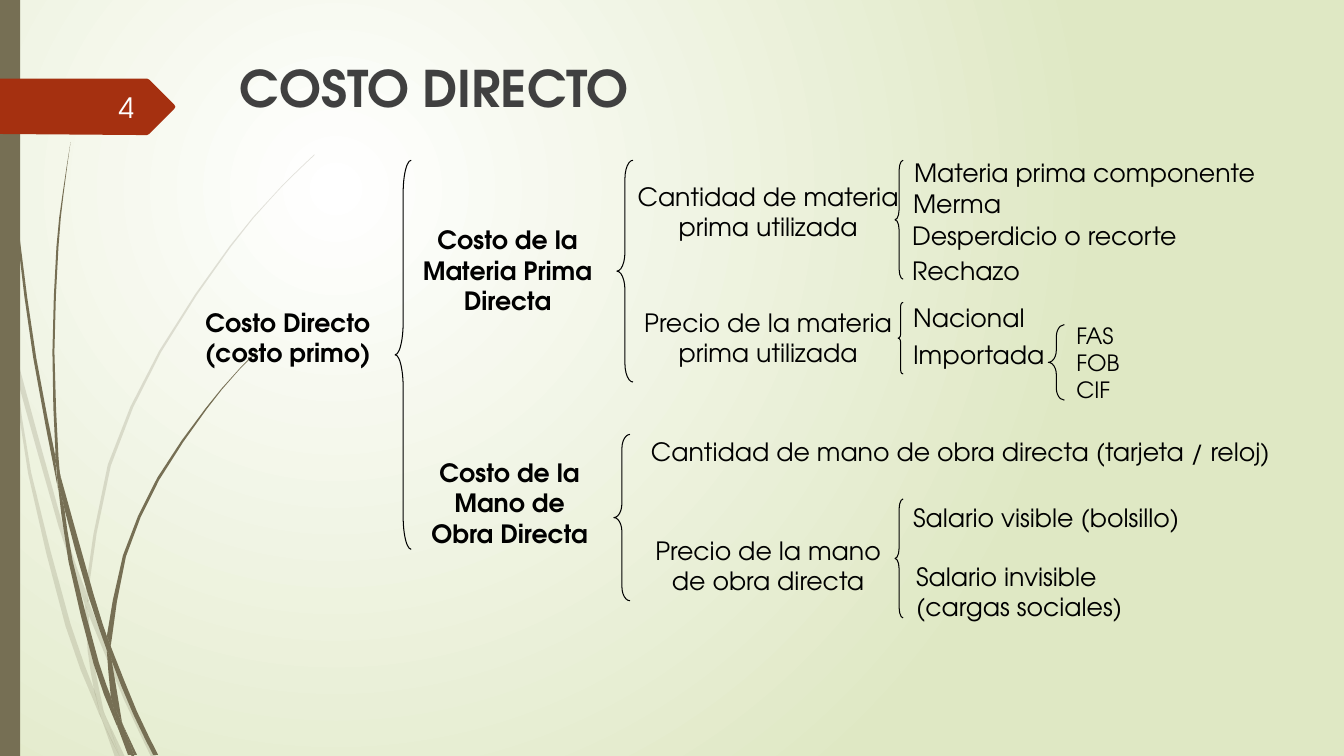
from lxml import etree
from pptx import Presentation
from pptx.dml.color import RGBColor
from pptx.enum.shapes import MSO_SHAPE
from pptx.enum.text import MSO_ANCHOR, MSO_AUTO_SIZE, PP_ALIGN
from pptx.oxml import parse_xml
from pptx.oxml.ns import qn
from pptx.util import Inches, Pt

FONT = "TeX Gyre Adventor"
OLIVE = RGBColor(0x76, 0x6F, 0x54)
RUST = RGBColor(0xA5, 0x30, 0x10)
GRAY = RGBColor(0x40, 0x40, 0x40)
BLACK = RGBColor(0, 0, 0)
WHITE = RGBColor(0xFE, 0xFF, 0xFF)

prs = Presentation()
prs.slide_width, prs.slide_height = Inches(40 / 3), Inches(7.5)
s = prs.slides.add_slide(prs.slide_layouts[6])


def add_text(text, x, y, w, h, size=18, color=BLACK, bold=False, align=PP_ALIGN.LEFT,
             anchor=MSO_ANCHOR.TOP, fit=MSO_AUTO_SIZE.SHAPE_TO_FIT_TEXT, inset_top=0.05):
    """Add a text box; text is a string or a list of (text, size) runs."""
    tf = s.shapes.add_textbox(Inches(x), Inches(y), Inches(w), Inches(h)).text_frame
    tf.word_wrap = True
    tf.auto_size = fit
    tf.vertical_anchor = anchor
    tf.margin_top = Inches(inset_top)
    lines = [[(t, size)] for t in text.split("\n")] if isinstance(text, str) else [text]
    for i, runs in enumerate(lines):
        p = tf.paragraphs[0] if i == 0 else tf.add_paragraph()
        p.alignment = align
        for run_text, run_size in runs:
            r = p.add_run()
            r.text = run_text
            r.font.name, r.font.size = FONT, Pt(run_size)
            r.font.bold, r.font.color.rgb = bold, color


def smooth(points):
    """Round the points with one Catmull-Rom midpoint per span, in EMU."""
    padded = [points[0], *points, points[-1]]
    curve = []
    for a, b, c, d in zip(padded, padded[1:], padded[2:], padded[3:]):
        curve.append(b)
        if len(points) > 2:
            curve.append(tuple((9 * (b[n] + c[n]) - a[n] - d[n]) / 16 for n in (0, 1)))
    return [(Inches(x), Inches(y)) for x, y in curve + [points[-1]]]


# Background: soft radial gradient
s.background.fill.gradient()
bg_pr = s.background._cSld.bg.bgPr
bg_pr.replace(bg_pr.find(qn("a:gradFill")), parse_xml(
    '<a:gradFill xmlns:a="http://schemas.openxmlformats.org/drawingml/2006/main" rotWithShape="1">'
    '<a:gsLst><a:gs pos="0"><a:srgbClr val="FFFFFF"/></a:gs>'
    '<a:gs pos="100000"><a:srgbClr val="DFE8C4"/></a:gs></a:gsLst>'
    '<a:path path="circle"><a:fillToRect l="50000" t="50000" r="100000" b="100000"/></a:path>'
    '</a:gradFill>'))

# Grass blades: each one has an outward edge and a return edge
pale_blades = [
    ([(.11, 3.5), (.09, 3.22), (0, 2.82)], [(0, 2.99), (.1, 3.44), (.11, 3.5)]),
    ([(.14, 3.45), (.62, 5.2), (.85, 5.86)], [(.84, 5.99), (.58, 5.22), (.17, 3.76)]),
    ([(.88, 5.96), (.92, 6.07), (1.27, 6.92), (1.55, 7.51)],
     [(1.5, 7.51), (1.23, 6.94), (.88, 6.1)]),
    ([(1.19, 7.51), (1.24, 7.51)], [(1.05, 7.11), (1.19, 7.51)]),
    ([(.11, 3.5), (.28, 4.7), (.65, 6.21), (.92, 6.93), (1.01, 7.14)],
     [(.99, 7.07), (.93, 6.83), (.7, 6.19), (.31, 4.69), (.17, 3.76), (.11, 3.5)]),
    ([(.84, 5.99), (.87, 6.46), (.93, 6.83), (.96, 6.92), (1.05, 7.11)],
     [(1.03, 7.06), (.91, 6.46), (.88, 6.1), (.84, 5.99)]),
    ([(.88, 5.96), (.88, 5.84), (1.1, 4.62), (1.6, 3.49), (2.29, 2.45), (2.68, 1.98),
      (2.9, 1.75), (3.12, 1.54)],
     [(3.12, 1.53), (2.89, 1.75), (2.68, 1.97), (2.28, 2.44), (1.58, 3.48), (1.07, 4.61),
      (.85, 5.84)]),
    ([(1.01, 7.14), (1.14, 7.51)], [(1.19, 7.51), (1.01, 7.14)]),
    ([(.88, 6.08), (.88, 5.96)], [(.85, 5.86), (.84, 5.99)]),
    ([(.96, 6.92), (.93, 6.83)], [(.99, 7.07), (1.01, 7.14), (1.19, 7.51), (1.05, 7.11)]),
]
dark_blades = [
    ([(.03, 0), (.04, .48), (.07, 1.1), (.17, 2.33), (.33, 3.55), (.56, 4.77), (.57, 4.81)],
     [(.55, 4.57), (.55, 4.53), (.36, 3.55), (.19, 2.32), (.08, 1.09), (.05, .48), (.04, 0)]),
    ([(.6, 4.72), (.64, 5.05), (.88, 5.92), (1.06, 6.45)],
     [(1.06, 6.31), (.93, 5.9), (.6, 4.72)]),
    ([(1.1, 6.41), (1.11, 6.56), (1.32, 7.08), (1.52, 7.49)],
     [(1.57, 7.49), (1.36, 7.06), (1.13, 6.49), (1.1, 6.41)]),
    ([(.57, 4.77), (.68, 5.57), (.93, 6.59), (1.11, 7.08), (1.17, 7.22)],
     [(1.16, 7.17), (1.1, 6.91), (.98, 6.57), (.72, 5.56), (.64, 5.05), (.57, 4.77)]),
    ([(.6, 4.72), (.58, 4.53), (.54, 3.49), (.58, 2.45), (.63, 1.93), (.7, 1.41)],
     [(.7, 1.41), (.62, 1.93), (.56, 2.45), (.52, 3.49), (.55, 4.49), (.6, 4.72)]),
    ([(1.33, 7.49), (1.36, 7.49)], [(1.22, 7.19), (1.33, 7.49)]),
    ([(.57, 4.77), (.64, 5.05)], [(.6, 4.72), (.55, 4.49), (.55, 4.53)]),
    ([(1.1, 6.41), (1.11, 6.33), (1.25, 5.52), (1.58, 4.76), (2.05, 4.06), (2.31, 3.74),
      (2.45, 3.59), (2.61, 3.44)],
     [(2.6, 3.44), (2.45, 3.58), (2.31, 3.73), (2.04, 4.05), (1.56, 4.74), (1.22, 5.51),
      (1.06, 6.31)]),
    ([(1.17, 7.22), (1.27, 7.49)], [(1.31, 7.49), (1.17, 7.22)]),
    ([(1.06, 6.45), (1.1, 6.91), (1.16, 7.06), (1.22, 7.19)],
     [(1.21, 7.16), (1.11, 6.56), (1.09, 6.51), (1.06, 6.45)]),
    ([(1.06, 6.45), (1.11, 6.56)], [(1.1, 6.41), (1.06, 6.31)]),
    ([(1.16, 7.06), (1.1, 6.91)], [(1.17, 7.22), (1.3, 7.49), (1.33, 7.49), (1.22, 7.19)]),
]
for blades, opacity in ((pale_blades, 20), (dark_blades, 100)):
    for outward, back in blades:
        outline = smooth(outward) + smooth(back)
        builder = s.shapes.build_freeform(*outline[0])
        builder.add_line_segments(outline[1:], close=True)
        sp = builder.convert_to_shape()
        sp.shadow.inherit = False
        sp.fill.solid()
        sp.fill.fore_color.rgb = OLIVE
        sp.line.fill.background()
        if opacity < 100:
            clr = next(sp._element.spPr.iter(qn("a:srgbClr")))
            etree.SubElement(clr, qn("a:alpha")).set("val", str(opacity * 1000))

# Side bar and page number flag
bar = s.shapes.add_shape(MSO_SHAPE.RECTANGLE, 0, 0, Inches(0.2), Inches(7.5))
builder = s.shapes.build_freeform(0, Inches(0.78))
builder.add_line_segments(
    [(Inches(x), Inches(y)) for x, y in
     ((1.46, .78), (1.48, .79), (1.73, 1.04), (1.74, 1.06), (1.73, 1.08),
      (1.48, 1.33), (1.46, 1.34), (1.36, 1.34), (0, 1.33))], close=True)
flag = builder.convert_to_shape()
for sp, color in ((bar, OLIVE), (flag, RUST)):
    sp.shadow.inherit = False
    sp.fill.solid()
    sp.fill.fore_color.rgb = color
    sp.line.fill.background()

# Title and page number
add_text([("COSTO", 36), (" ", 31), ("DIRECTO", 36)], 2.28, 0, 9.75, 1.4, color=GRAY,
         bold=True, fit=MSO_AUTO_SIZE.NONE, inset_top=0.57)
add_text("4", 0.58, 0.86, 0.85, 0.4, size=20, color=WHITE, align=PP_ALIGN.RIGHT,
         anchor=MSO_ANCHOR.MIDDLE, fit=MSO_AUTO_SIZE.NONE)

# Braces: left, top, width, height, curl
for x, y, w, h, curl in (
        (3.92, 1.59, 0.16, 3.86, 2.035), (6.12, 1.59, 0.16, 2.2, 1.163),
        (8.88, 1.59, 0.08, 1.18, 1.259), (8.91, 3, 0.05, 0.71, 0.757),
        (6.09, 4.31, 0.16, 1.65, 0.881), (8.88, 4.95, 0.08, 1.18, 1.259),
        (10.4, 3.22, 0.16, 0.75, 0.757)):
    brace = s.shapes.add_shape(MSO_SHAPE.LEFT_BRACE, Inches(x), Inches(y), Inches(w), Inches(h))
    brace.adjustments[0] = curl
    brace.shadow.inherit = False
    brace.fill.background()
    brace.line.color.rgb = BLACK
    brace.line.width = Pt(0.75)

# Main cost categories
for text, x, y, h in (("Costo Directo (costo primo)", 1.87, 3, 0.7),
                      ("Costo de la Materia Prima Directa", 4.05, 2.18, 1),
                      ("Costo de la Mano de Obra Directa", 4.07, 4.49, 1)):
    add_text(text, x, y, 1.97, h, bold=True, align=PP_ALIGN.CENTER)

# Quantity and price components
for text, x, y, w in (("Cantidad de materia prima utilizada", 6.2, 1.75, 2.84),
                      ("Precio de la materia prima utilizada", 6.2, 3, 2.84),
                      ("Precio de la mano de obra directa", 6.36, 5.26, 2.52)):
    add_text(text, x, y, w, 0.7, align=PP_ALIGN.CENTER)

# Details
for text, x, y, w, h in (
        ("Materia prima componente", 8.97, 1.51, 3.72, 0.4),
        ("Merma", 8.96, 1.82, 3.21, 0.4),
        ("Rechazo", 8.95, 2.48, 3.21, 0.4),
        ("Desperdicio o recorte", 8.95, 2.14, 3.21, 0.4),
        ("Nacional", 8.96, 2.95, 3.21, 0.4),
        ("Importada", 8.96, 3.32, 3.21, 0.4),
        ("Cantidad de mano de obra directa (tarjeta / reloj)", 6.36, 4.28, 6.57, 0.4),
        ("Salario visible (bolsillo)", 8.96, 4.93, 3.21, 0.4),
        ("Salario invisible (cargas sociales)", 8.99, 5.52, 2.6, 0.7)):
    add_text(text, x, y, w, h)
add_text("FAS\nFOB\nCIF", 10.58, 3.15, 0.83, 0.91, size=16)

prs.save("out.pptx")
